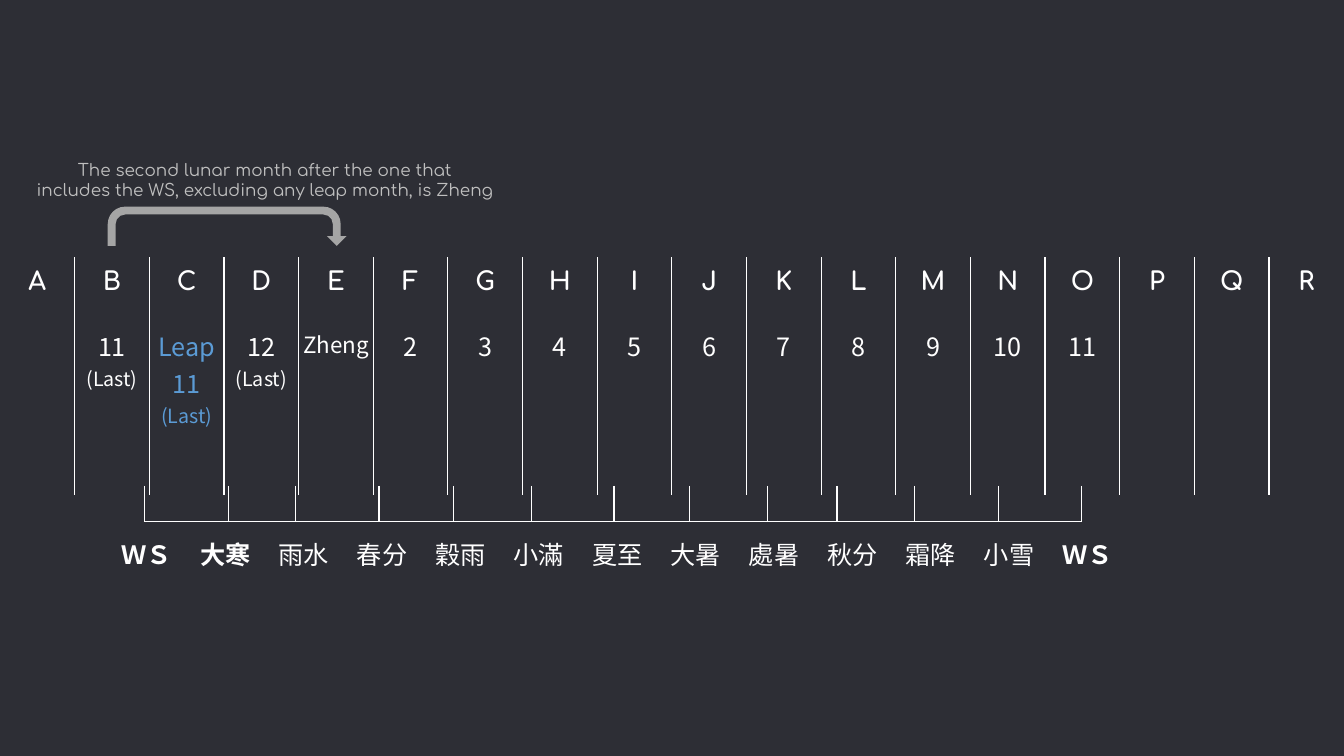
"""Build a slide that lines up lunar months with the solar terms of a leap year."""
import pptx
import pptx.dml.color
import pptx.enum.shapes
import pptx.enum.text
import pptx.oxml.ns
import pptx.util
from lxml import etree

Pt = pptx.util.Pt
qn = pptx.oxml.ns.qn
CENTER = pptx.enum.text.PP_ALIGN.CENTER
MIDDLE = pptx.enum.text.MSO_ANCHOR.MIDDLE
COLOURS = {"night": "2D2E35", "white": "FFFFFF", "leap": "5B9BD5", "arrow": "A5A5A5", "note": "BFBFBF"}
LATIN, CJK = "Comfortaa", "Noto Sans CJK SC"
NO_STYLE = "{2D5ABB26-0587-4C30-8999-92F81FD0307C}"


def add_grid(page, left, top, widths, heights, edges):
    """Add an unstyled table; edges(column) names the bordered sides of a cell."""
    frame = page.shapes.add_table(len(heights), len(widths), Pt(left), Pt(top), Pt(sum(widths)), Pt(sum(heights)))
    table = frame.table
    table.first_row = table.horz_banding = False
    table._tbl.tblPr.find(qn("a:tableStyleId")).text = NO_STYLE
    for column, width in zip(table.columns, widths):
        column.width = Pt(width)
    for row, height in zip(table.rows, heights):
        row.height = Pt(height)
        for index, cell in enumerate(row.cells):
            properties = cell._tc.get_or_add_tcPr()
            for side in edges(index):
                line = etree.SubElement(properties, qn(f"a:ln{side}"), w=str(Pt(1)))
                fill = etree.SubElement(line, qn("a:solidFill"))
                etree.SubElement(fill, qn("a:srgbClr"), val=COLOURS["white"])
            cell.fill.background()
    return table


def style(para, size, font, colour="white", bold=False):
    """Centre a paragraph and set its font."""
    para.alignment = CENTER
    para.font.size = Pt(size)
    para.font.bold = bold
    para.font.color.rgb = pptx.dml.color.RGBColor.from_string(COLOURS[colour])
    para.font.name = font
    etree.SubElement(para._p.pPr.find(qn("a:defRPr")), qn("a:ea"), typeface=font)


deck = pptx.Presentation()
deck.slide_width, deck.slide_height = Pt(960), Pt(540)
page = deck.slides.add_slide(deck.slide_layouts[6])
page.background.fill.solid()
page.background.fill.fore_color.rgb = pptx.dml.color.RGBColor.from_string(COLOURS["night"])

letters = "ABCDEFGHIJKLMNOPQR"
months = ["", "11 (Last)", "Leap\n11 (Last)", "12 (Last)", "Zheng", *map(str, range(2, 12)), "", "", ""]
last = len(letters) - 1
month_table = add_grid(page, 0, 183.6, [960 / len(letters)] * len(letters), [36, 134],
                       lambda index: ["L"] * (index > 0) + ["R"] * (index < last))
for index, (letter, month) in enumerate(zip(letters, months)):
    heading = month_table.cell(0, index)
    heading.vertical_anchor = MIDDLE
    heading.text = letter
    style(heading.text_frame.paragraphs[0], 18, LATIN, bold=True)
    if not month:
        continue
    cell = month_table.cell(1, index)
    cell.margin_left = cell.margin_right = cell.margin_bottom = 0
    cell.margin_top = Pt(14.4)
    cell.text = month
    for para in cell.text_frame.paragraphs:
        style(para, 16 if month == "Zheng" else 18, CJK, "leap" if "Leap" in month else "white")
        number, mark, _ = para.text.partition("(Last)")
        if mark:
            para.runs[0].text = number
            span = para.add_run()
            span.text = mark
            span.font.size = Pt(14)

term_widths = [60.3, 47.5, 59.7, 53.5, 55.2, 59.2, 54.2, 55.2, 50, 55.2, 60, 59.5]
bracket = add_grid(page, 103.2, 347.1, term_widths, [25.7], lambda index: "LRB")
for cell in bracket.iter_cells():
    cell.margin_top = cell.margin_bottom = 0
    style(cell.text_frame.paragraphs[0], 8, CJK)

terms = "ＷＳ 大寒 雨水 春分 穀雨 小滿 夏至 大暑 處暑 秋分 霜降 小雪 ＷＳ".split()
term_table = add_grid(page, 77, 370.8, [56] * len(terms), [49.7], lambda index: "")
for cell, term in zip(term_table.iter_cells(), terms):
    cell._tc.get_or_add_tcPr().set("vert", "eaVert")
    cell.vertical_anchor = MIDDLE
    cell.text = term
    style(cell.text_frame.paragraphs[0], 18, CJK, bold=term in ("ＷＳ", "大寒"))

arrow = page.shapes.add_shape(pptx.enum.shapes.MSO_SHAPE.U_TURN_ARROW, Pt(77), Pt(147.6), Pt(170.6), Pt(28.1))
for index, value in enumerate([0.2, 0.25, 0.25, 0.44, 1]):
    arrow.adjustments[index] = value
arrow.shadow.inherit = False
arrow.fill.solid()
arrow.fill.fore_color.rgb = pptx.dml.color.RGBColor.from_string(COLOURS["arrow"])
arrow.line.fill.background()

box = page.shapes.add_textbox(Pt(18), Pt(110.2), Pt(342.7), Pt(36))
box.text_frame.word_wrap = False
box.text_frame.auto_size = pptx.enum.text.MSO_AUTO_SIZE.SHAPE_TO_FIT_TEXT
box.text_frame.vertical_anchor = MIDDLE
box.text_frame.text = ("The second lunar month after the one that\n"
                       "includes the WS, excluding any leap month, is Zheng")
for para in box.text_frame.paragraphs:
    style(para, 12, LATIN, "note")

deck.save("out.pptx")
